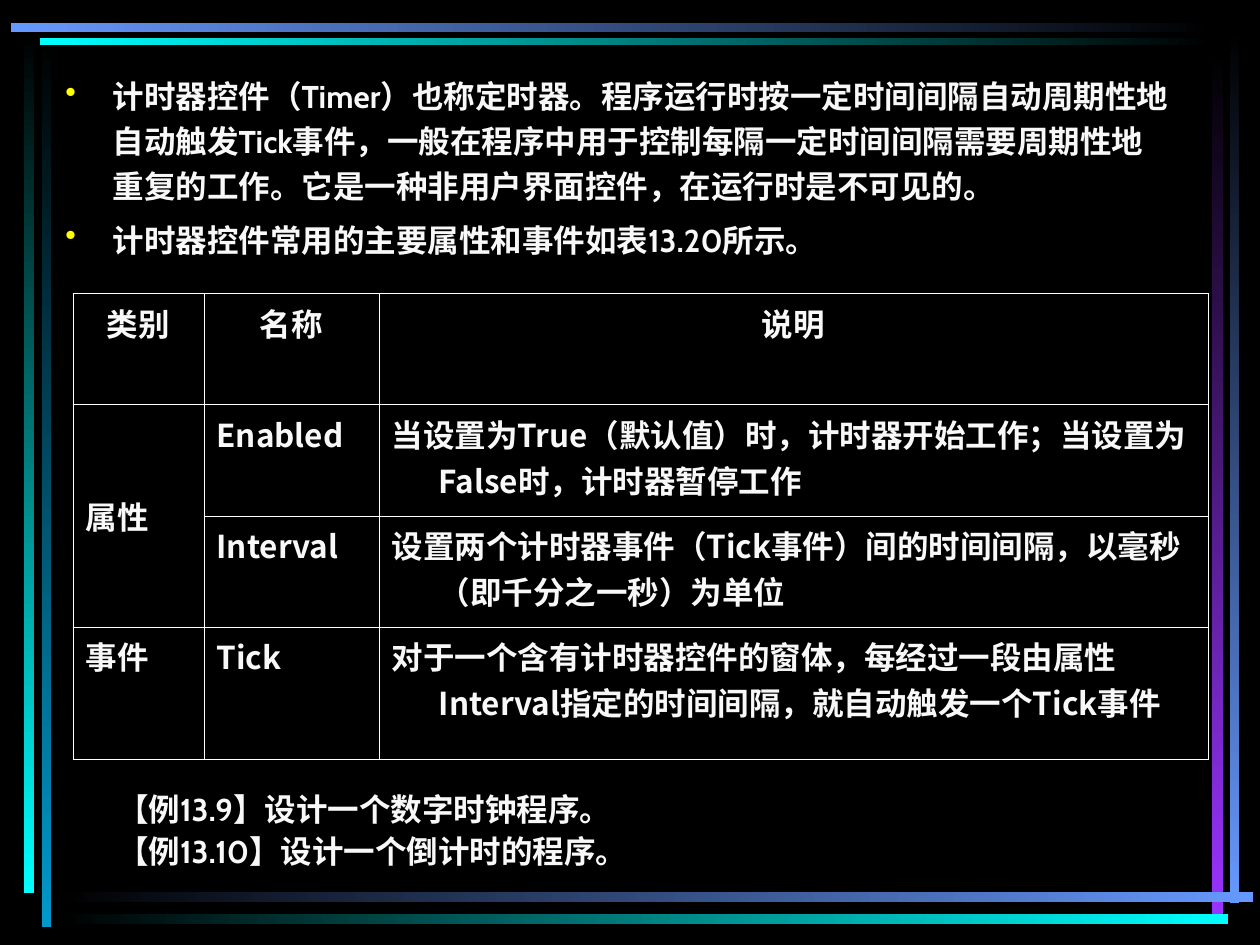
import dataclasses
import typing

import lxml.etree
import pptx
import pptx.dml.color
import pptx.enum.shapes
import pptx.enum.text
import pptx.oxml.ns
import pptx.util

Cm = pptx.util.Cm
Pt = pptx.util.Pt
qn = pptx.oxml.ns.qn

COLORS = {
    "black": "000000",
    "text": "F8F8F8",
    "border": "FFFFFF",
    "bullet": "FFFF00",
    "teal": "0099CC",
    "cyan": "00FFFF",
    "blue": "6699FF",
    "violet": "9933FF",
}
LATIN_FONT = "Cabin"
CJK_FONT = "Noto Sans CJK SC"
HANGING = Cm(0.95)
DOWN, RIGHTWARD = 270, 0


@dataclasses.dataclass
class Bar:
    left: float
    top: float
    width: float
    height: float
    start: str
    end: str
    angle: int


@dataclasses.dataclass
class TextBlock:
    left: float
    top: float
    width: float
    height: float
    line_spacing: float
    bulleted: bool
    lines: list[str]


BARS = [
    Bar(0.84, 0.71, 0.2, 17.98, "black", "teal", DOWN),
    Bar(0.48, 0.64, 0.2, 17.37, "black", "cyan", DOWN),
    Bar(24.79, 0.61, 0.18, 17.6, "black", "blue", DOWN),
    Bar(24.43, 1.07, 0.23, 17.35, "black", "violet", DOWN),
    Bar(1.14, 17.98, 24.13, 0.2, "black", "blue", RIGHTWARD),
    Bar(1.14, 18.42, 23.62, 0.2, "black", "cyan", RIGHTWARD),
    Bar(0.81, 0.76, 23.67, 0.15, "cyan", "black", RIGHTWARD),
    Bar(0.22, 0.47, 24.28, 0.18, "blue", "black", RIGHTWARD),
]

INTRODUCTION = TextBlock(1.07, 1.27, 22.86, 4.19, 1.2, True, [
    "计时器控件（Timer）也称定时器。程序运行时按一定时间间隔自动周期性地自动触发Tick事件，"
    "一般在程序中用于控制每隔一定时间间隔需要周期性地重复的工作。"
    "它是一种非用户界面控件，在运行时是不可见的。",
    "计时器控件常用的主要属性和事件如表13.20所示。",
])
EXAMPLES = TextBlock(2.11, 15.88, 12.07, 1.8, 0.9, False, [
    "【例13.9】设计一个数字时钟程序。",
    "【例13.10】设计一个倒计时的程序。",
])

MEMBERS = [
    ["类别", "名称", "说明"],
    ["属性", "Enabled", "当设置为True（默认值）时，计时器开始工作；当设置为False时，计时器暂停工作"],
    ["", "Interval", "设置两个计时器事件（Tick事件）间的时间间隔，以毫秒（即千分之一秒）为单位"],
    ["事件", "Tick", "对于一个含有计时器控件的窗体，每经过一段由属性Interval指定的时间间隔，就自动触发一个Tick事件"],
]
COLUMN_WIDTHS = [2.64, 3.53, 16.71]
ROW_HEIGHTS = [2.24, 2.24, 2.24, 2.67]


def rgb(name: str) -> pptx.dml.color.RGBColor:
    return pptx.dml.color.RGBColor.from_string(COLORS[name])


def draw_bar(slide: typing.Any, bar: Bar) -> None:
    strip = slide.shapes.add_shape(
        pptx.enum.shapes.MSO_SHAPE.RECTANGLE,
        Cm(bar.left), Cm(bar.top), Cm(bar.width), Cm(bar.height))
    strip.shadow.inherit = False
    strip.line.fill.background()
    strip.fill.gradient()
    strip.fill.gradient_angle = bar.angle
    for stop, color in zip(strip.fill.gradient_stops, (bar.start, bar.end)):
        stop.color.rgb = rgb(color)


def style_paragraph(paragraph: typing.Any, latin: str, bulleted: bool = False) -> None:
    properties = paragraph._p.get_or_add_pPr()
    properties.set("marL", str(HANGING))
    properties.set("indent", str(-HANGING))
    if bulleted:
        color = lxml.etree.SubElement(properties, qn("a:buClr"))
        lxml.etree.SubElement(color, qn("a:srgbClr"), val=COLORS["bullet"])
        lxml.etree.SubElement(properties, qn("a:buChar"), char="•")
    font = paragraph.font
    font.size = Pt(18)
    font.bold = True
    font.color.rgb = rgb("text")
    font.name = latin
    east_asian = lxml.etree.Element(qn("a:ea"), typeface=CJK_FONT)
    font._element.find(qn("a:latin")).addnext(east_asian)


def draw_text(slide: typing.Any, block: TextBlock) -> None:
    frame = slide.shapes.add_textbox(
        Cm(block.left), Cm(block.top), Cm(block.width), Cm(block.height)).text_frame
    frame.word_wrap = True
    for index, line in enumerate(block.lines):
        paragraph = frame.add_paragraph() if index else frame.paragraphs[0]
        paragraph.text = line
        paragraph.line_spacing = block.line_spacing
        if index:
            paragraph.space_before = Pt(4.5)
        style_paragraph(paragraph, LATIN_FONT, block.bulleted)


def draw_borders(cell: typing.Any) -> None:
    properties = cell._tc.get_or_add_tcPr()
    for side in ("lnL", "lnR", "lnT", "lnB"):
        border = lxml.etree.SubElement(properties, qn(f"a:{side}"), w=str(Pt(0.45)))
        fill = lxml.etree.SubElement(border, qn("a:solidFill"))
        lxml.etree.SubElement(fill, qn("a:srgbClr"), val=COLORS["border"])


def draw_members(slide: typing.Any) -> None:
    table = slide.shapes.add_table(
        len(ROW_HEIGHTS), len(COLUMN_WIDTHS), Cm(1.47), Cm(5.92),
        Cm(sum(COLUMN_WIDTHS)), Cm(sum(ROW_HEIGHTS))).table
    table.first_row = False
    table.horz_banding = False
    for column, width in zip(table.columns, COLUMN_WIDTHS):
        column.width = Cm(width)
    for row, height in zip(table.rows, ROW_HEIGHTS):
        row.height = Cm(height)
    for row_index, texts in enumerate(MEMBERS):
        for column_index, text in enumerate(texts):
            cell = table.cell(row_index, column_index)
            draw_borders(cell)
            cell.fill.background()
            if not text:
                continue
            cell.text = text
            paragraph = cell.text_frame.paragraphs[0]
            if row_index == 0:
                paragraph.alignment = pptx.enum.text.PP_ALIGN.CENTER
            style_paragraph(paragraph, CJK_FONT)
    category = table.cell(1, 0)
    category.merge(table.cell(2, 0))
    category.vertical_anchor = pptx.enum.text.MSO_ANCHOR.MIDDLE


def main() -> None:
    presentation = pptx.Presentation()
    presentation.slide_width = Cm(25.4)
    presentation.slide_height = Cm(19.05)
    slide = presentation.slides.add_slide(presentation.slide_layouts[6])
    slide.background.fill.solid()
    slide.background.fill.fore_color.rgb = rgb("black")
    for bar in BARS:
        draw_bar(slide, bar)
    draw_text(slide, INTRODUCTION)
    draw_members(slide)
    draw_text(slide, EXAMPLES)
    presentation.save("out.pptx")


if __name__ == "__main__":
    main()
